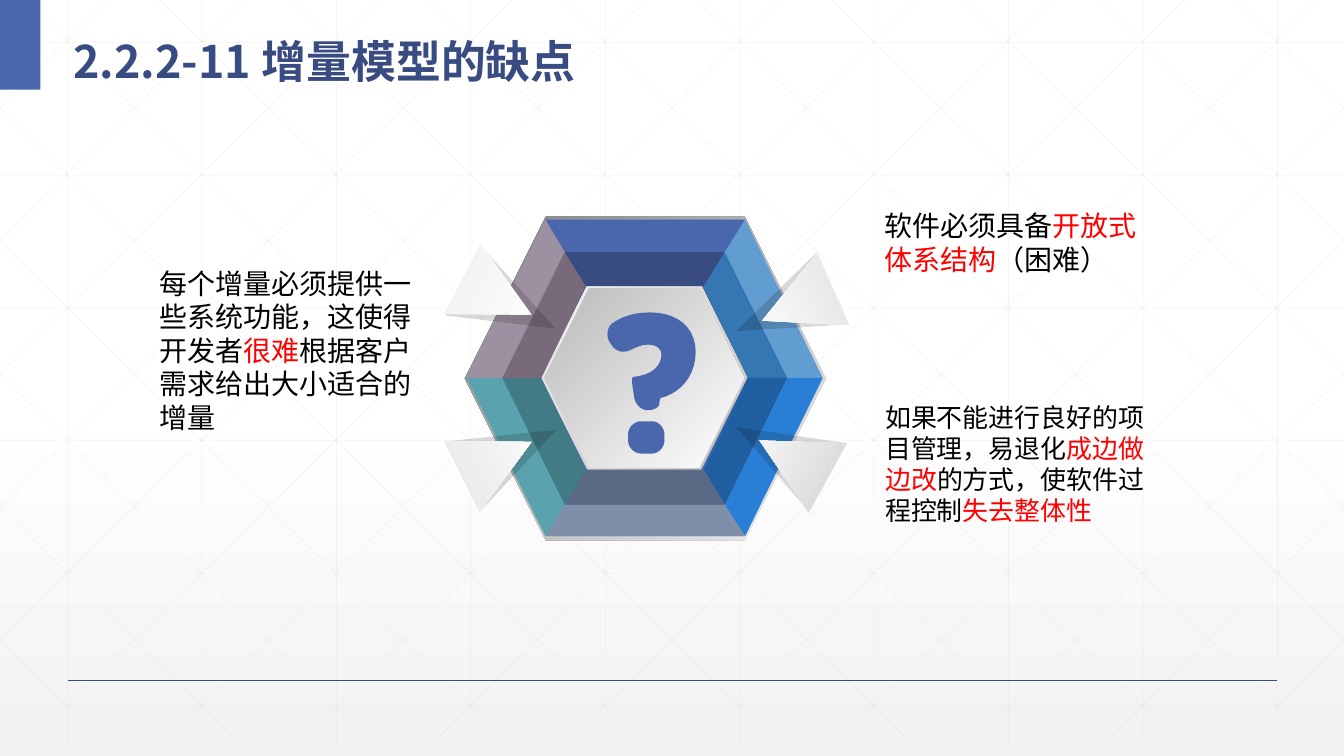
from lxml import etree
from pptx import Presentation
from pptx import util as u
from pptx.dml.color import RGBColor
from pptx.enum import shapes, text
from pptx.oxml import ns

W, H = 13.33, 7.37
FONT = "Noto Sans CJK SC"
C = {
    "blue": "4A66AC", "navy": "384C81", "sky": "629DD1", "grid": "D9D9D9",
    "black": "000000", "red": "FF0000", "white": "FFFFFF", "pale": "F2F2F2",
    "shade": "0D0D0D", "grey": "808080", "silver": "BFBFBF", "steel": "BABABA",
}


def paint(sp, colours, angle=0, alpha=100):
    sp.shadow.inherit = False
    sp.line.fill.background()
    if len(colours) == 2:
        sp.fill.gradient()
        sp.fill.gradient_angle = -angle % 360
        for stop, colour in zip(sp.fill.gradient_stops, colours):
            stop.color.rgb = RGBColor.from_string(colour)
        return
    sp.fill.solid()
    sp.fill.fore_color.rgb = RGBColor.from_string(colours[0])
    if alpha < 100:
        clr = next(sp._element.spPr.iter(ns.qn("a:srgbClr")))
        etree.SubElement(clr, ns.qn("a:alpha"), val=str(alpha * 1000))


def rule(x1, y1, x2, y2, colour, width, alpha=100):
    ln = s.shapes.add_connector(shapes.MSO_CONNECTOR.STRAIGHT, *map(u.Inches, (x1, y1, x2, y2)))
    ln.line.width = u.Pt(width)
    ln.line.color.rgb = RGBColor.from_string(colour)
    clr = next(ln._element.spPr.iter(ns.qn("a:srgbClr")))
    etree.SubElement(clr, ns.qn("a:alpha"), val=str(alpha * 1000))
    etree.SubElement(ln._element.spPr, ns.qn("a:effectLst"))


prs = Presentation()
prs.slide_width, prs.slide_height = u.Inches(W), u.Inches(7.5)
s = prs.slides.add_slide(prs.slide_layouts[6])
bg = s.background.fill
bg.gradient()
bg.gradient_angle = 270
for stop, pos, colour in zip(bg.gradient_stops, (0.53, 1), ("white", "pale")):
    stop.position = pos
    stop.color.rgb = RGBColor.from_string(C[colour])

step = 4 / 3
grid = [(0.67 + step * i, 0, 0.67 + step * i, H) for i in range(10)]
grid += [(0, 0.42 + 1.316 * i, W, 0.42 + 1.316 * i) for i in range(6)]
slope = H / 7.45
for i in range(-5, 10):
    x0 = 0.25 + step * i
    x1, x2 = max(x0, 0), min(x0 + 7.45, W)
    y1, y2 = (x1 - x0) * slope, (x2 - x0) * slope
    grid += [(x1, y1, x2, y2), (W - x1, y1, W - x2, y2)]
for ends in grid:
    rule(*ends, C["grid"], 0.5, 25)
rule(0.67, 6.75, 12.67, 6.75, C["navy"], 1)

tab = s.shapes.add_shape(shapes.MSO_SHAPE.RECTANGLE, 0, 0, u.Inches(0.4), u.Inches(0.89))
paint(tab, [C["blue"]])

hexagons = [
    (4.61, 2.15, 3.58, 3.21, ["grey", "pale"], 45),
    (4.65, 2.18, 3.5, 3.14, ["sky"], 0),
    (5, 2.5, 2.8, 2.51, ["blue"], 0),
    (5.37, 2.83, 2.04, 1.83, ["silver", "pale"], 225),
    (5.4, 2.86, 1.98, 1.78, ["white", "steel"], 225),
]
for x, y, w, h, names, angle in hexagons:
    sp = s.shapes.add_shape(shapes.MSO_SHAPE.HEXAGON, *map(u.Inches, (x, y, w, h)))
    paint(sp, [C[n] for n in names], angle)

inner = [(5.81, 2.84), (6.98, 2.84), (7.42, 3.75), (6.98, 4.66), (5.81, 4.66), (5.37, 3.75)]
middle = [(5.6, 2.5), (7.19, 2.5), (7.81, 3.75), (7.19, 5.01), (5.6, 5.01), (4.98, 3.75)]
outer = [(5.41, 2.18), (7.39, 2.18), (8.16, 3.75), (7.39, 5.32), (5.41, 5.32), (4.63, 3.75)]
bands = [
    (inner, middle, ["384C81", "3477B2", "1F5FA0", "596A85", "417B85", "78697B"]),
    (middle, outer, ["4A66AC", "629DD1", "297FD5", "7F8FA9", "5AA2AE", "9D90A0"]),
]
facets = []
for near, far, colours in bands:
    for i, colour in enumerate(colours):
        j = (i + 1) % 6
        facets.append(([[near[i], near[j], far[j], far[i]]], colour))

dot = [(6.36, 4.18), [(6.36, 4.18), (6.47, 4.18), (6.47, 4.18)],
       [(6.53, 4.18), (6.59, 4.24), (6.59, 4.31)], [(6.59, 4.31), (6.59, 4.37), (6.59, 4.37)],
       [(6.59, 4.44), (6.53, 4.5), (6.47, 4.5)], [(6.47, 4.5), (6.36, 4.5), (6.36, 4.5)],
       [(6.29, 4.5), (6.23, 4.44), (6.23, 4.37)], [(6.23, 4.37), (6.23, 4.31), (6.23, 4.31)],
       [(6.23, 4.24), (6.29, 4.18), (6.36, 4.18)]]
hook = [(6.45, 3.1), [(6.72, 3.1), (6.9, 3.25), (6.9, 3.49)],
        [(6.9, 3.73), (6.75, 3.9), (6.55, 3.95)], [(6.55, 3.95), (6.54, 3.98), (6.54, 4.01)],
        [(6.53, 4.05), (6.48, 4.07), (6.42, 4.07)], [(6.36, 4.07), (6.3, 4.01), (6.29, 3.94)],
        [(6.27, 3.81), (6.26, 3.75), (6.28, 3.74)], [(6.49, 3.72), (6.56, 3.61), (6.56, 3.52)],
        [(6.56, 3.46), (6.51, 3.42), (6.43, 3.42)], [(6.37, 3.42), (6.32, 3.44), (6.26, 3.47)],
        [(6.2, 3.5), (6.13, 3.5), (6.08, 3.44)], [(6.08, 3.44), (6.05, 3.4), (6.05, 3.4)],
        [(6.01, 3.34), (6.02, 3.25), (6.07, 3.21)], [(6.17, 3.14), (6.29, 3.1), (6.45, 3.1)]]
question = []
for start, *curves in (dot, hook):
    outline = [start]
    for a, b, c in curves:
        p0 = outline[-1]
        for t in (i / 10 for i in range(1, 11)):
            k = ((1 - t) ** 3, 3 * t * (1 - t) ** 2, 3 * t * t * (1 - t), t ** 3)
            outline.append(tuple(sum(m * q[d] for m, q in zip(k, (p0, a, b, c))) for d in (0, 1)))
    question.append(outline)

flaps = [
    (7.37, 3.97, 7.48, 4.17, 298.8, "D3D3D4"),
    (7.39, 2.56, 7.52, 2.64, 246.1, "E2E3E4"),
    (4.67, 3.98, 4.54, 4.17, 63.5, "E4E5E6"),
    (4.67, 2.51, 4.54, 2.56, 117.4, "F0F1F1"),
]
for contours, colour in facets + [(question, C["blue"])]:
    fb = None
    for contour in contours:
        pts = [(u.Inches(x), u.Inches(y)) for x, y in contour]
        if fb is None:
            fb = s.shapes.build_freeform(*pts[0])
        else:
            fb.move_to(*pts[0])
        fb.add_line_segments(pts[1:], close=True)
    paint(fb.convert_to_shape(), [colour])

for sx, sy, fx, fy, turn, tint in flaps:
    for x, y, w, h, colours, alpha in ((sx, sy, 0.77, 1.03, [C["shade"]], 16),
                                       (fx, fy, 0.78, 0.77, [C["white"], tint], 100)):
        sp = s.shapes.add_shape(shapes.MSO_SHAPE.ISOSCELES_TRIANGLE, *map(u.Inches, (x, y, w, h)))
        sp.rotation = turn
        paint(sp, colours, 90, alpha)

texts = [
    (0.63, 0.16, 11.52, 0.73, 32, 1.3,
     [("2.2.2-11 ", "navy", FONT), ("增量模型的缺点", "navy", "Arial")]),
    (8.78, 3.98, 2.68, 1.51, 18.5, 1,
     [("如果不能进行良好的项目管理，易退化", "black", FONT), ("成边做边改", "red", FONT),
      ("的方式，使软件过程控制", "black", FONT), ("失去整体性", "red", FONT)]),
    (8.77, 2.07, 2.69, 1.25, 20, 1,
     [("软件必须具备", "black", FONT), ("开放式体系结构", "red", FONT), ("（困难）", "black", FONT)]),
    (1.58, 2.64, 2.66, 2.32, 20, 1,
     [("每个增量必须提供一些系统功能，这使得开发者", "black", FONT), ("很难", "red", FONT),
      ("根据客户需求给出大小适合的增量", "black", FONT)]),
]
for x, y, w, h, size, spacing, runs in texts:
    title = size == 32
    tf = s.shapes.add_textbox(*map(u.Inches, (x, y, w, h))).text_frame
    tf.word_wrap = True
    tf.margin_left = tf.margin_right = u.Inches(0.1 if title else 0)
    tf.margin_top = tf.margin_bottom = 0
    tf.vertical_anchor = text.MSO_ANCHOR.MIDDLE if title else text.MSO_ANCHOR.TOP
    p = tf.paragraphs[0]
    p.line_spacing = float(spacing)
    for words, colour, face in runs:
        r = p.add_run()
        r.text = words
        r.font.size = u.Pt(size)
        r.font.bold = title
        r.font.name = face
        r.font.color.rgb = RGBColor.from_string(C[colour])
        etree.SubElement(r.font._element, ns.qn("a:ea"), typeface=FONT)

prs.save("out.pptx")
